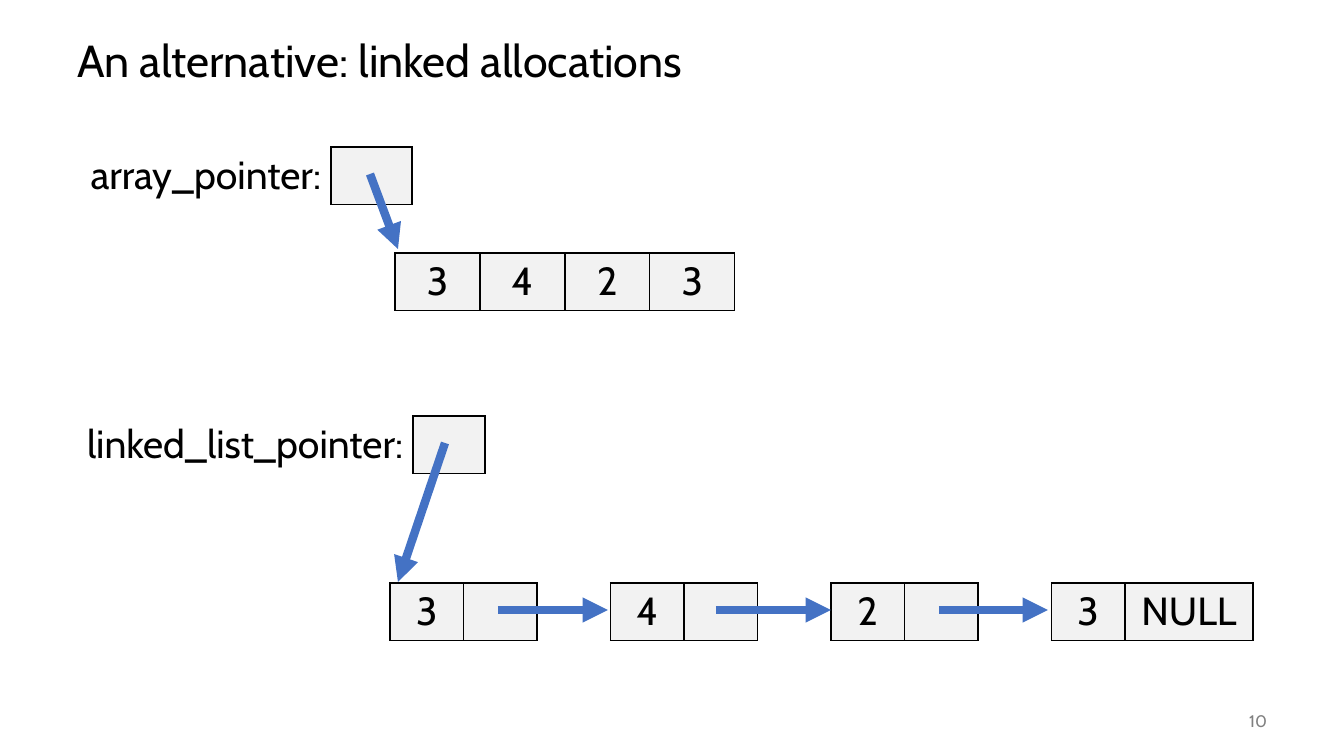
import pptx
import pptx.dml.color
import pptx.enum.shapes
import pptx.enum.text
import pptx.oxml
import pptx.oxml.ns
import pptx.util

RGBColor = pptx.dml.color.RGBColor
ALIGN = pptx.enum.text.PP_ALIGN
BLACK = RGBColor(0x00, 0x00, 0x00)
GRAY = RGBColor(0x80, 0x80, 0x80)
CELL_GRAY = RGBColor(0xF2, 0xF2, 0xF2)
ARROW_BLUE = RGBColor(0x44, 0x72, 0xC4)
FONT = "Cabin"
EMU_PER_PX = 914400 / 100.8

TITLE = "An alternative: linked allocations"
PAGE = "10"
ROW_HEIGHT = 57

# Each cell is (text, boxed); unboxed cells hold labels or gaps.
GAP = ("", False)
POINTER = ("", True)
ARRAY_VALUES = ["3", "4", "2", "3"]
LIST_VALUES = ["3", "4", "2"]
LIST_TAIL = [("3", True), ("NULL", True)]
LIST_COLUMN = 735 / 10

list_cells = [GAP]
for value in LIST_VALUES:
    list_cells += [(value, True), POINTER, GAP]
list_cells += LIST_TAIL

# left, top, column widths, cells
MEMORY_ROWS = [
    (50, 147, [281, 81], [("array_pointer:", False), POINTER]),
    (281, 253, [114] + [85] * 4, [GAP] + [(v, True) for v in ARRAY_VALUES]),
    (50, 416, [363, 72], [("linked_list_pointer:", False), POINTER]),
    (91, 583, [299] + [LIST_COLUMN] * 10 + [128], list_cells),
]

# from x, from y, to x, to y
ARROWS = [
    (370, 174, 398, 249),
    (445, 443, 398, 582),
    (498, 610, 608, 610),
    (716, 610, 831, 610),
    (939, 610, 1048, 610),
]


def px(length):
    return pptx.util.Emu(round(length * EMU_PER_PX))


def write(frame, text, size, color, align):
    frame.text = text
    paragraph = frame.paragraphs[0]
    paragraph.alignment = align
    for run in paragraph.runs:
        run.font.name = FONT
        run.font.size = pptx.util.Pt(size)
        run.font.color.rgb = color


def set_borders(cell, sides):
    """Draw the given sides (of "LRTB") in black and clear the others."""
    properties = cell._tc.get_or_add_tcPr()
    for position, side in enumerate("LRTB"):
        paint = (f'<a:solidFill><a:srgbClr val="{BLACK}"/></a:solidFill>'
                 if side in sides else "<a:noFill/>")
        border = pptx.oxml.parse_xml(
            f'<a:ln{side} {pptx.oxml.ns.nsdecls("a")} w="12700">{paint}</a:ln{side}>')
        properties.insert(position, border)


def add_memory_row(slide, left, top, widths, cells):
    frame = slide.shapes.add_table(
        1, len(cells), px(left), px(top), px(sum(widths)), px(ROW_HEIGHT))
    table = frame.table
    table.first_row = table.horz_banding = False
    for index, (width, (text, boxed)) in enumerate(zip(widths, cells)):
        table.columns[index].width = px(width)
        cell = table.cell(0, index)
        write(cell.text_frame, text, 28, BLACK, ALIGN.CENTER if boxed else ALIGN.RIGHT)
        if boxed:
            cell.fill.solid()
            cell.fill.fore_color.rgb = CELL_GRAY
            set_borders(cell, "LRTB")
        else:
            cell.fill.background()
            left_side = "L" if index > 0 and cells[index - 1][1] else ""
            right_side = "R" if cells[index + 1][1] else ""
            set_borders(cell, left_side + right_side)


def add_arrow(slide, *ends):
    arrow = slide.shapes.add_connector(
        pptx.enum.shapes.MSO_CONNECTOR.STRAIGHT, *[px(end) for end in ends])
    arrow.line.color.rgb = ARROW_BLUE
    arrow.line.width = pptx.util.Pt(6)
    line = arrow.line._get_or_add_ln()
    pptx.oxml.ns.qn("a:tailEnd")
    line.append(pptx.oxml.parse_xml(
        f'<a:tailEnd {pptx.oxml.ns.nsdecls("a")} type="triangle"/>'))
    arrow._element.spPr.append(pptx.oxml.parse_xml(
        f'<a:effectLst {pptx.oxml.ns.nsdecls("a")}/>'))


def main():
    deck = pptx.Presentation()
    deck.slide_width, deck.slide_height = px(1344), px(756)
    slide = deck.slides.add_slide(deck.slide_layouts[5])

    title = slide.shapes.title
    title.left, title.top, title.width, title.height = px(67), px(25), px(1210), px(76)
    write(title.text_frame, TITLE, 32, BLACK, ALIGN.LEFT)
    title.text_frame.vertical_anchor = pptx.enum.text.MSO_ANCHOR.MIDDLE
    title.text_frame.paragraphs[0].line_spacing = 0.9

    for memory_row in MEMORY_ROWS:
        add_memory_row(slide, *memory_row)
    for arrow in ARROWS:
        add_arrow(slide, *arrow)

    page = slide.shapes.add_textbox(px(1176), px(701), px(101), px(40))
    page.text_frame.word_wrap = True
    page.text_frame.vertical_anchor = pptx.enum.text.MSO_ANCHOR.MIDDLE
    write(page.text_frame, PAGE, 12, GRAY, ALIGN.RIGHT)

    deck.save("out.pptx")


if __name__ == "__main__":
    main()
